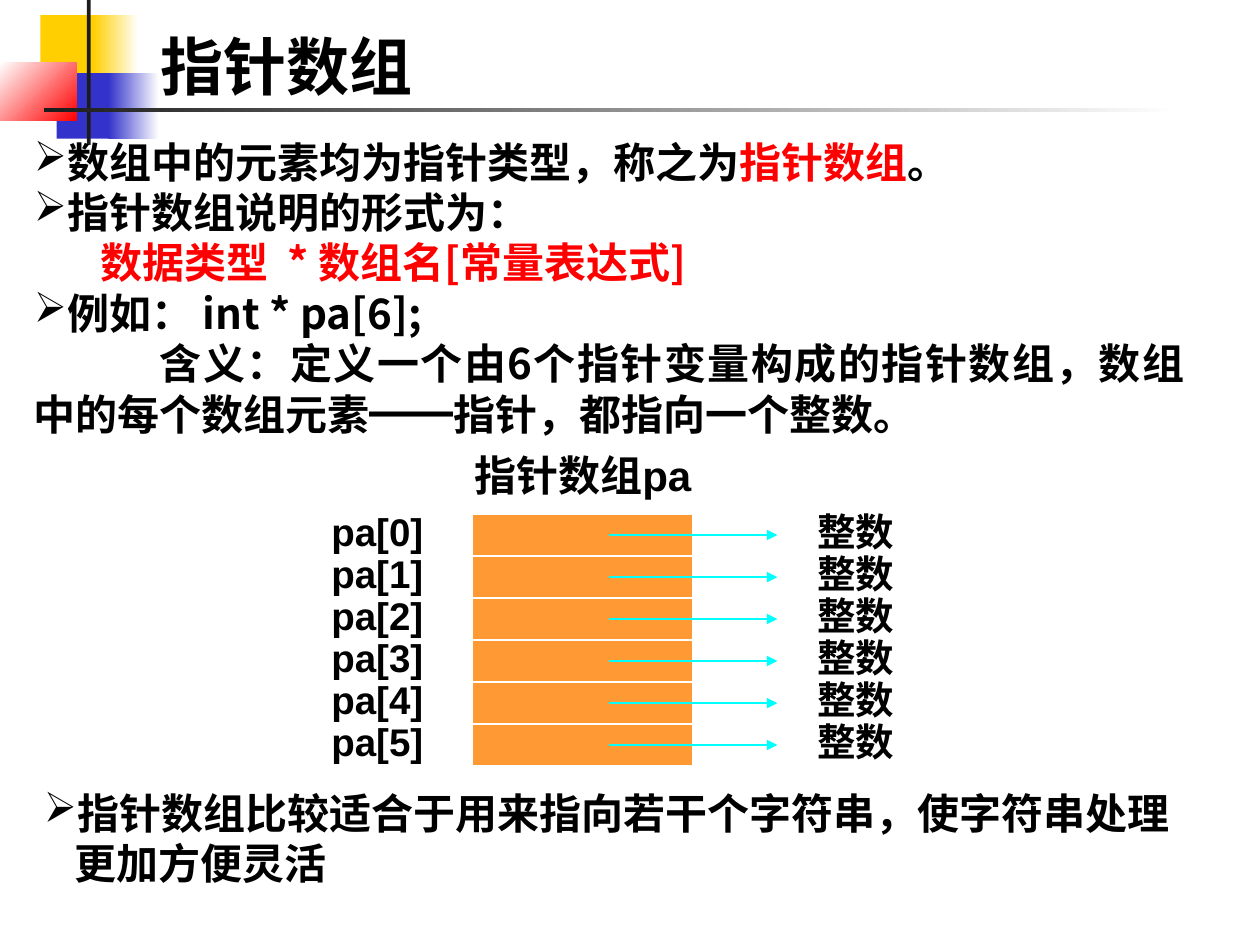
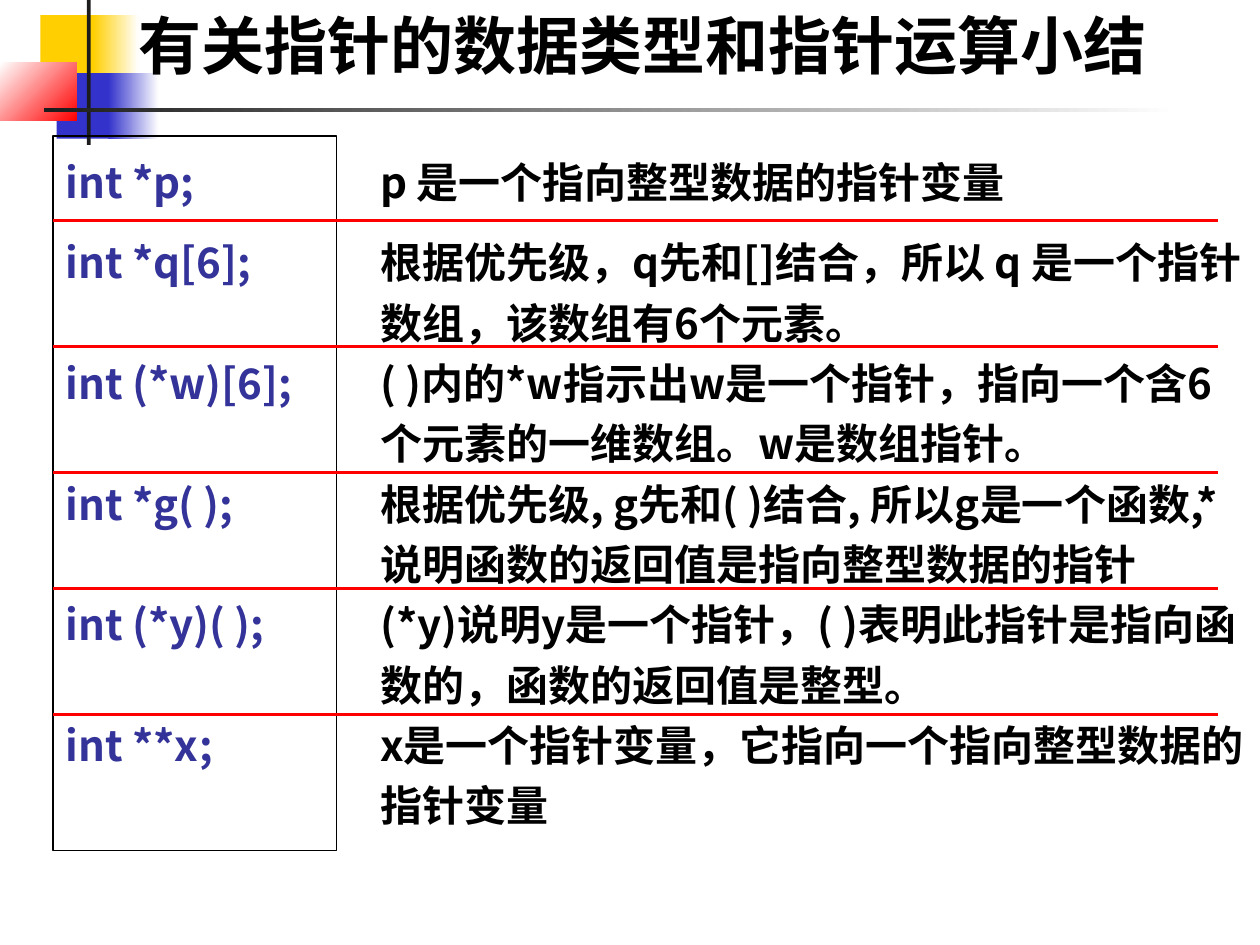
from lxml import etree
from pptx import Presentation
from pptx.dml.color import RGBColor
from pptx.enum.shapes import MSO_CONNECTOR, MSO_SHAPE
from pptx.enum.text import MSO_ANCHOR, MSO_AUTO_SIZE, PP_ALIGN
from pptx.oxml.ns import qn
from pptx.util import Inches, Pt

RECTANGLE = MSO_SHAPE.RECTANGLE
STRAIGHT = MSO_CONNECTOR.STRAIGHT
TOP, MIDDLE = MSO_ANCHOR.TOP, MSO_ANCHOR.MIDDLE
LEFT, CENTER, JUSTIFY = PP_ALIGN.LEFT, PP_ALIGN.CENTER, PP_ALIGN.JUSTIFY

BLACK, WHITE, RED = "000000", "FFFFFF", "FF0000"
YELLOW, BLUE, CHARCOAL = "FFCF01", "3333CC", "1C1C1C"
ORANGE, CYAN, CODE_BLUE = "FF9933", "00FFFF", "333399"

TITLE_FONT = {"name": "Lato", "size": Pt(36), "bold": True}
BODY_FONT = {"name": "Noto Sans CJK SC", "size": Pt(24), "bold": True}
LABEL_FONT = {"name": "Arial", "size": Pt(22), "bold": True}
CAPTION_FONT = LABEL_FONT | {"size": Pt(24)}

BODY_LINE = Pt(28.8)
SUMMARY_LINE = Pt(34.5)
SUMMARY_GAP = Pt(11.5)
BODY_INSET = 0.08

# left, top, width, height, colours (two colours make a gradient), angle
DECORATIONS = [
    (0.32, 0.12, 0.48, 0.52, [YELLOW], 0),
    (0.74, 0.12, 0.36, 0.52, [YELLOW, WHITE], 0),
    (0.45, 0.58, 0.46, 0.52, [BLUE], 0),
    (0.86, 0.58, 0.4, 0.52, [BLUE, WHITE], 0),
    (0, 0.5, 0.61, 0.46, [WHITE, RED], 315),
    (0.69, 0, 0.03, 1.15, [CHARCOAL], 0),
    (0.35, 0.86, 9, 0.03, [CHARCOAL, WHITE], 0),
]

SUMMARY = [
    ("int *p;", "p 是一个指向整型数据的指针变量"),
    ("int *q[6];", "根据优先级，q先和[]结合，所以 q 是一个指针数组，该数组有6个元素。"),
    ("int (*w)[6];", "( )内的*w指示出w是一个指针，指向一个含6个元素的一维数组。w是数组指针。"),
    ("int *g( );", "根据优先级, g先和( )结合, 所以g是一个函数,*说明函数的返回值是指向整型数据的指针"),
    ("int (*y)( );", "(*y)说明y是一个指针，( )表明此指针是指向函数的，函数的返回值是整型。"),
    ("int **x;", "x是一个指针变量，它指向一个指向整型数据的指针变量"),
]


def rgb(color):
    return RGBColor.from_string(color)


def set_values(target, values):
    for name, value in values.items():
        setattr(target, name, value)


def add_element(parent, tag, **attributes):
    return etree.SubElement(parent, qn(tag), attributes)


def add_rectangle(slide, left, top, width, height, colors=(), angle=0, line=None, line_width=1):
    shape = slide.shapes.add_shape(
        RECTANGLE, Inches(left), Inches(top), Inches(width), Inches(height))
    shape.shadow.inherit = False
    if len(colors) == 2:
        shape.fill.gradient()
        shape.fill.gradient_angle = angle
        for stop, color in zip(shape.fill.gradient_stops, colors):
            stop.color.rgb = rgb(color)
    elif colors:
        shape.fill.solid()
        shape.fill.fore_color.rgb = rgb(colors[0])
    else:
        shape.fill.background()
    if line:
        shape.line.color.rgb = rgb(line)
        shape.line.width = Pt(line_width)
    else:
        shape.line.fill.background()
    return shape


def add_line(slide, left, right, y, color, width, arrow=False):
    connector = slide.shapes.add_connector(
        STRAIGHT, Inches(left), Inches(y), Inches(right), Inches(y))
    connector.line.color.rgb = rgb(color)
    connector.line.width = Pt(width)
    if arrow:
        add_element(connector.line._get_or_add_ln(), "a:tailEnd", type="triangle")
    add_element(connector._element.spPr, "a:effectLst")


def add_run(paragraph, text, font, color=BLACK):
    run = paragraph.add_run()
    run.text = text
    set_values(run.font, font)
    run.font.color.rgb = rgb(color)
    add_element(run._r.get_or_add_rPr(), "a:ea", typeface=font["name"])


def add_bullet(paragraph):
    properties = paragraph._p.get_or_add_pPr()
    bullet_color = add_element(properties, "a:buClr")
    add_element(bullet_color, "a:srgbClr", val=BLACK)
    add_element(properties, "a:buChar", char="➢")


def set_indent(paragraph, margin, first_line):
    properties = paragraph._p.get_or_add_pPr()
    properties.set("marL", str(Inches(margin)))
    properties.set("indent", str(Inches(first_line)))


def fill_frame(frame, paragraphs, font, inset=0.05, anchor=TOP, wrap=True, **defaults):
    """Write (runs, options) paragraphs; each run is (text, colour)."""
    set_values(frame, {"word_wrap": wrap, "vertical_anchor": anchor,
                       "auto_size": MSO_AUTO_SIZE.NONE, "margin_top": Inches(inset)})
    for index, (runs, options) in enumerate(paragraphs):
        paragraph = frame.paragraphs[0] if index == 0 else frame.add_paragraph()
        values = {"alignment": LEFT} | defaults | options
        set_indent(paragraph, *values.pop("indent", (0, 0)))
        if values.pop("bullet", False):
            add_bullet(paragraph)
        set_values(paragraph, values)
        for text, color in runs:
            add_run(paragraph, text, font, color)


def add_text(slide, left, top, width, height, paragraphs, font, **options):
    box = slide.shapes.add_textbox(
        Inches(left), Inches(top), Inches(width), Inches(height))
    fill_frame(box.text_frame, paragraphs, font, **options)


def add_label(slide, left, top, width, height, text, font=LABEL_FONT, line_spacing=0.8):
    add_text(slide, left, top, width, height, [([(text, BLACK)], {})], font,
             anchor=MIDDLE, wrap=False, alignment=CENTER, line_spacing=line_spacing)


def decorate_layout(layout, slide):
    """Draw the shared decoration on a slide, then move it to the layout."""
    for number, (*place, colors, angle) in enumerate(DECORATIONS, start=20):
        element = add_rectangle(slide, *place, colors, angle)._element
        element.nvSpPr.cNvPr.set("id", str(number))
        layout.shapes._spTree.append(element)


def add_titled_slide(presentation, layout, title, left, top, width, height):
    slide = presentation.slides.add_slide(layout)
    set_values(slide.shapes.title, {"left": Inches(left), "top": Inches(top),
                                    "width": Inches(width), "height": Inches(height)})
    fill_frame(slide.shapes.title.text_frame, [([(title, BLACK)], {})], TITLE_FONT)
    return slide


def add_array_diagram(slide):
    first_top, row_height = 4.08, 1 / 3
    rows = [(index, first_top + index * row_height) for index in range(6)]
    for index, top in rows:
        add_rectangle(slide, 3.75, top, 1.75, row_height, [ORANGE], line=WHITE)
        add_label(slide, 2.33, top, 1.33, row_height, f"pa[{index}]")
        add_label(slide, 6.25, top, 1.08, row_height, "整数")
        add_line(slide, 4.83, 6.17, top + row_height / 2, CYAN, 1, arrow=True)
    add_label(slide, 4, 3.5, 1.25, 0.5, "指针数组pa", CAPTION_FONT, 1.1)


def fill_array_slide(slide):
    definition = [
        ([("数组中的元素均为指针类型，称之为", BLACK), ("指针数组", RED), ("。", BLACK)],
         {"bullet": True}),
        ([("指针数组说明的形式为：", BLACK)], {"bullet": True}),
        ([("数据类型  * 数组名[常量表达式]", RED)], {"indent": (0.53, 0)}),
        ([("例如： int * pa[6];", BLACK)], {"bullet": True}),
        ([("含义：定义一个由6个指针变量构成的指针数组，数组中的每个数组元素━━指针，都指向一个整数。", BLACK)],
         {"indent": (0, 1), "alignment": JUSTIFY}),
    ]
    usage = [([("指针数组比较适合于用来指向若干个字符串，使字符串处理更加方便灵活", BLACK)],
              {"bullet": True, "indent": (0.24, -0.24)})]
    add_text(slide, 0.17, 1, 9.33, 2.58, definition, BODY_FONT,
             inset=BODY_INSET, line_spacing=BODY_LINE)
    add_array_diagram(slide)
    add_text(slide, 0.25, 6.17, 9.42, 0.9, usage, BODY_FONT,
             inset=BODY_INSET, line_spacing=BODY_LINE)


def summary_column(texts, color, later_gap):
    gaps = [Pt(0), SUMMARY_GAP] + [later_gap] * (len(texts) - 2)
    return [([(text, color)], {"space_before": gap}) for text, gap in zip(texts, gaps)]


def fill_summary_slide(slide):
    declarations, meanings = zip(*SUMMARY)
    frame = add_rectangle(slide, 0.42, 1.08, 2.25, 5.67, line=BLACK, line_width=0.75).text_frame
    options = {"inset": BODY_INSET, "line_spacing": SUMMARY_LINE}
    fill_frame(frame, summary_column(declarations, CODE_BLUE, SUMMARY_LINE), BODY_FONT, **options)
    add_text(slide, 2.92, 1.08, 7.08, 5.75,
             summary_column(meanings, BLACK, Pt(0)), BODY_FONT, **options)
    for y in (1.75, 2.75, 3.75, 4.67, 5.67):
        add_line(slide, 0.42, 9.67, y, RED, 1.5)


def main():
    presentation = Presentation()
    presentation.slide_width, presentation.slide_height = Inches(10), Inches(7.5)
    layout = presentation.slide_layouts.get_by_name("Title Only")

    array_slide = add_titled_slide(presentation, layout, "指针数组", 1.17, 0.17, 6.58, 0.67)
    decorate_layout(layout, array_slide)
    fill_array_slide(array_slide)

    summary_slide = add_titled_slide(
        presentation, layout, "有关指针的数据类型和指针运算小结", 1, 0, 8.42, 0.58)
    fill_summary_slide(summary_slide)

    presentation.save("out.pptx")


if __name__ == "__main__":
    main()
